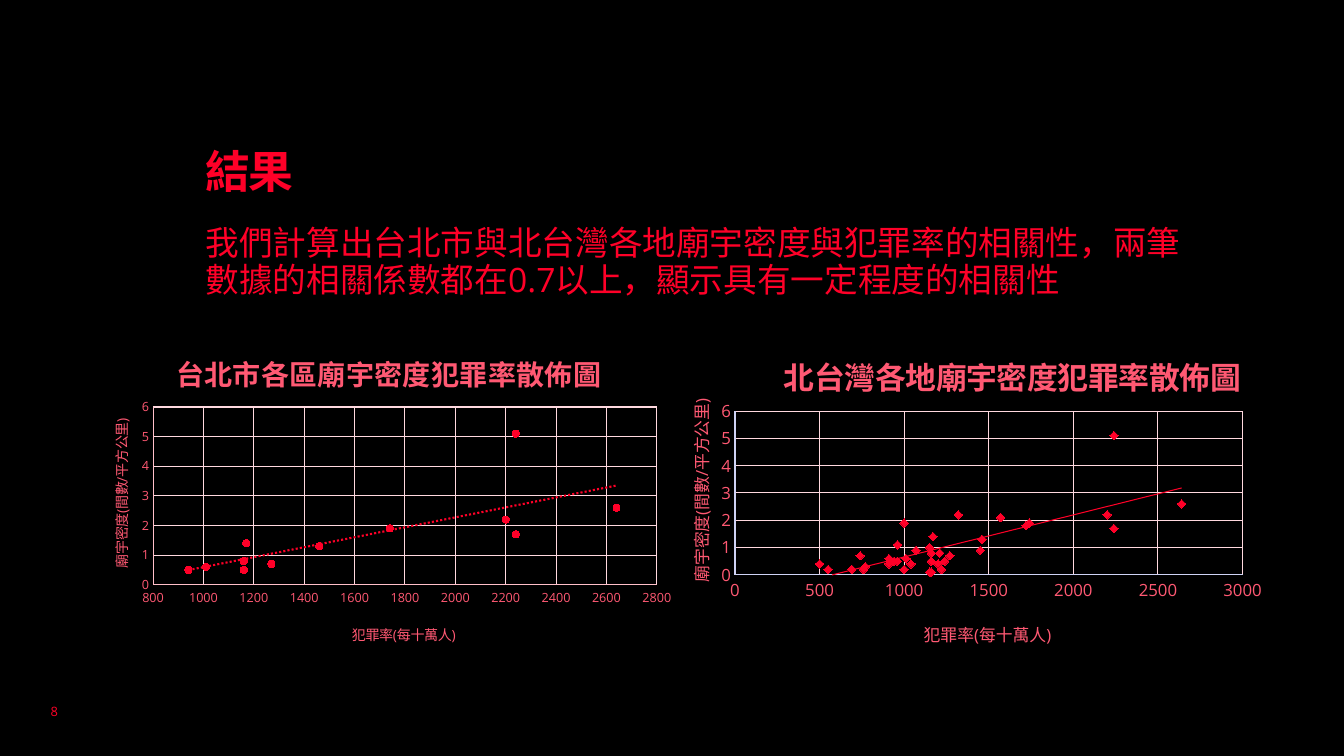
from lxml import etree
from pptx import Presentation
from pptx import util as u
from pptx.chart.data import XyChartData
from pptx.dml.color import RGBColor
from pptx.enum import chart as ch, text
from pptx.oxml import parse_xml
from pptx.oxml.ns import nsdecls, qn

BLACK = RGBColor(0x00, 0x00, 0x00)
RED = RGBColor(0xFF, 0x00, 0x28)
PINK = RGBColor(0xFF, 0x59, 0x73)
GRID = RGBColor(0xFF, 0xD9, 0xDF)
AXIS_PINK = RGBColor(0xFF, 0xBF, 0xC9)
AXIS_BLUE = RGBColor(0xCF, 0xD3, 0xF5)

X_TITLE = "犯罪率(每十萬人)"
Y_TITLE = "廟宇密度(間數/平方公里)"

# Crime rate and temple density: Taipei districts, then northern Taiwan
TAIPEI = (
    [2240, 2640, 2200, 1460, 2240, 1170, 1740, 1160, 1160, 1010, 1270, 940],
    [5.1, 2.6, 2.2, 1.3, 1.7, 1.4, 1.9, 0.5, 0.8, 0.6, 0.7, 0.5],
)
NORTH = (
    [1320, 1000, 960, 1570, 910, 1450, 1160, 1210, 1040, 1070, 740, 960, 1220,
     500] + TAIPEI[0] +
    [1150, 690, 1150, 1240, 550, 770, 1200, 910, 1000, 760, 1720],
    [2.2, 1.9, 1.1, 2.1, 0.6, 0.9, 0.1, 0.8, 0.4, 0.9, 0.7, 0.5, 0.2,
     0.4] + TAIPEI[1] +
    [1, 0.2, 0.1, 0.5, 0.2, 0.3, 0.4, 0.4, 0.2, 0.2, 1.8],
)

# Layouts are fractions of the chart: x, y and, for the plot, width, height
CHARTS = [
    dict(title="北台灣各地廟宇密度犯罪率散佈圖", data=NORTH, at=(6.51, 3.18, 6.14, 3.38),
         x_scale=(0, 3000, 500), tick=12, title_size=22, axis_title_size=12,
         axis_line=AXIS_BLUE, marker=ch.XL_MARKER_STYLE.DIAMOND, marker_size=6,
         trend=(9525, "solid"), plot=(0.127, 0.266, 0.82, 0.481),
         title_at=(0.197, 0.07), x_at=(0.427, 0.87), y_at=(0.043, 0.22)),
    dict(title="台北市各區廟宇密度犯罪率散佈圖", data=TAIPEI, at=(0.82, 3.18, 5.97, 3.38),
         x_scale=(800, 2800, 200), tick=9, title_size=20, axis_title_size=10,
         axis_line=AXIS_PINK, marker=ch.XL_MARKER_STYLE.CIRCLE, marker_size=5,
         trend=(19050, "sysDot"), plot=(0.117, 0.254, 0.837, 0.522),
         title_at=(0.147, 0.07), x_at=(0.443, 0.88), y_at=(0.041, 0.28)),
]


def add_run(p, words, size, color, font="Open Sans", bold=False):
    r = p.add_run()
    r.text = words
    r.font.size, r.font.bold, r.font.name = u.Pt(size), bold, font
    r.font.color.rgb = color
    return r


def place(el, position):
    """Give a chart title or the plot area a manual layout."""
    layout = el.find(qn("c:layout"))
    if layout is None:
        layout = parse_xml(f"<c:layout {nsdecls('c')}/>")
        el.insert(0 if el.find(qn("c:tx")) is None else 1, layout)
    manual = etree.SubElement(layout, qn("c:manualLayout"))
    if len(position) == 4:
        etree.SubElement(manual, qn("c:layoutTarget")).set("val", "inner")
    for name in ("xMode", "yMode"):
        etree.SubElement(manual, qn("c:" + name)).set("val", "edge")
    for name, value in zip("xywh", position):
        etree.SubElement(manual, qn("c:" + name)).set("val", str(value))


prs = Presentation()
prs.slide_width, prs.slide_height = u.Inches(13.33), u.Inches(7.5)
s = prs.slides.add_slide(prs.slide_layouts[5])
s.background.fill.solid()
s.background.fill.fore_color.rgb = BLACK

# Slide number
sp = s.shapes.add_textbox(u.Inches(0.26), u.Inches(6.93), u.Inches(0.56), u.Inches(0.25))
p = sp.text_frame.paragraphs[0]
p.alignment = text.PP_ALIGN.CENTER
add_run(p, "8", 9.2, RED)

# Title
sp = s.shapes.title
sp.left, sp.top, sp.width, sp.height = [u.Inches(v) for v in (2.04, 1.11, 8.94, 1.53)]
tf = sp.text_frame
tf.margin_left = tf.margin_right = tf.margin_bottom = 0
tf.margin_top = u.Inches(0.21)
tf.vertical_anchor = text.MSO_ANCHOR.TOP
p = tf.paragraphs[0]
p.alignment = text.PP_ALIGN.LEFT
p.line_spacing = 1.2
r = add_run(p, "結果", 32, RED, "Montserrat", True)
r.font._element.set("spc", "-150")

# Finding
sp = s.shapes.add_textbox(u.Inches(2.04), u.Inches(2.2), u.Inches(9.68), u.Inches(0.91))
tf = sp.text_frame
tf.word_wrap = True
tf.margin_left = tf.margin_right = 0
tf.auto_size = text.MSO_AUTO_SIZE.SHAPE_TO_FIT_TEXT
p = tf.paragraphs[0]
p.line_spacing = 0.9
add_run(p, "我們計算出台北市與北台灣各地廟宇密度與犯罪率的相關性，兩筆數據的相關係數都在0.7以上，"
        "顯示具有一定程度的相關性", 24, RED)

# Scatter charts
for c in CHARTS:
    data = XyChartData()
    series = data.add_series("Series 1")
    for x, y in zip(*c["data"]):
        series.add_data_point(x, y)
    chart = s.shapes.add_chart(ch.XL_CHART_TYPE.XY_SCATTER,
                               *[u.Inches(v) for v in c["at"]], data).chart
    chart.has_legend = False
    chart.font.name, chart.font.size = "Open Sans", u.Pt(10)
    chart.font.color.rgb = RED
    chart.plots[0].vary_by_categories = False
    place(chart._chartSpace.chart.plotArea, c["plot"])

    # Chart title
    title = chart.chart_title
    add_run(title.text_frame.paragraphs[0], c["title"], c["title_size"], PINK, bold=True)
    place(title._element, c["title_at"])

    # Axes
    for axis, name, scale, spot in (
            (chart.category_axis, X_TITLE, c["x_scale"], c["x_at"]),
            (chart.value_axis, Y_TITLE, (0, 6, 1), c["y_at"])):
        axis.minimum_scale, axis.maximum_scale, axis.major_unit = scale
        axis.major_tick_mark = axis.minor_tick_mark = ch.XL_TICK_MARK.NONE
        axis.tick_labels.font.size = u.Pt(c["tick"])
        axis.tick_labels.font.color.rgb = PINK
        axis.has_major_gridlines = True
        for line, color in ((axis.format.line, c["axis_line"]),
                            (axis.major_gridlines.format.line, GRID)):
            line.color.rgb = color
            line.width = u.Pt(0.75)
        tf = axis.axis_title.text_frame
        add_run(tf.paragraphs[0], name, c["axis_title_size"], PINK)
        if name == Y_TITLE:
            tf._txBody.bodyPr.set("rot", "-5400000")
            tf._txBody.bodyPr.set("vert", "horz")
        place(axis.axis_title._element, spot)

    # Markers and linear trend
    series = chart.plots[0].series[0]
    series.format.line.fill.background()
    series.marker.style, series.marker.size = c["marker"], c["marker_size"]
    series.marker.format.fill.solid()
    series.marker.format.fill.fore_color.rgb = RED
    series.marker.format.line.color.rgb = RED
    width, dash = c["trend"]
    series._element.find(qn("c:xVal")).addprevious(parse_xml(
        f'<c:trendline {nsdecls("c", "a")}><c:spPr><a:ln w="{width}"><a:solidFill>'
        f'<a:srgbClr val="{RED}"/></a:solidFill><a:prstDash val="{dash}"/></a:ln></c:spPr>'
        '<c:trendlineType val="linear"/><c:dispRSqr val="0"/><c:dispEq val="0"/></c:trendline>'))

prs.save("out.pptx")
